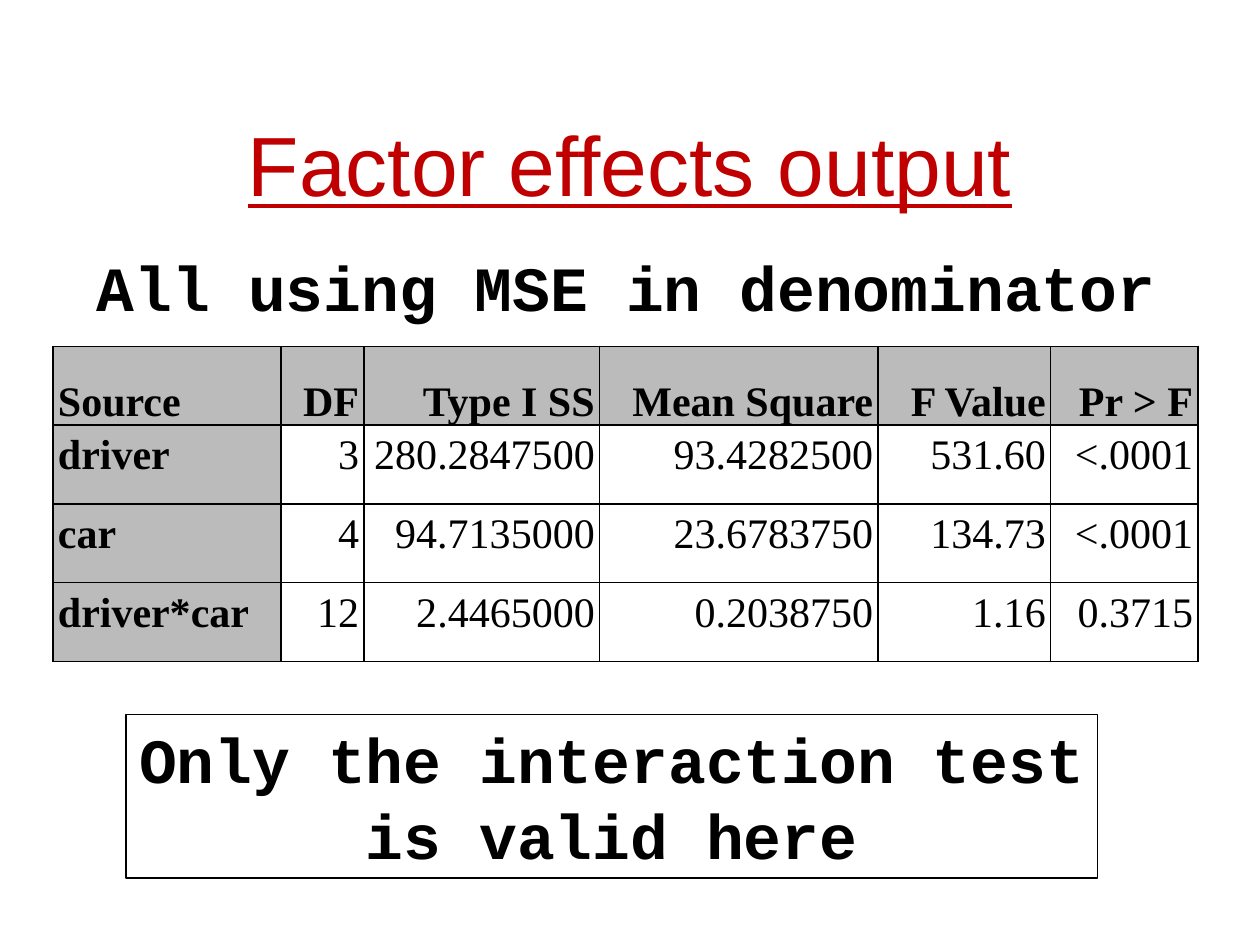
from pptx import Presentation
from pptx.dml.color import RGBColor
from pptx.enum.shapes import MSO_SHAPE
from pptx.enum.text import MSO_ANCHOR, MSO_AUTO_SIZE, PP_ALIGN
from pptx.oxml import parse_xml
from pptx.oxml.ns import nsdecls
from pptx.util import Inches, Pt

BLACK = RGBColor(0x00, 0x00, 0x00)
WHITE = RGBColor(0xFF, 0xFF, 0xFF)
RED = RGBColor(0xC0, 0x00, 0x00)
GRAY = RGBColor(0xBB, 0xBB, 0xBB)

TITLE_FONT = {"name": "Arial", "size": Pt(48), "underline": True}
NOTE_FONT = {"name": "Courier New", "size": Pt(36), "bold": True}
CELL_FONT = {"name": "Times New Roman", "size": Pt(24)}
CELL_MARGINS = {"margin_left": Inches(0.04), "margin_right": Inches(0.04),
                "margin_top": 0, "margin_bottom": 0}
CELL_SPACING = {"line_spacing": 1.15, "space_before": Pt(3), "space_after": Pt(3)}


def set_all(target, values):
    for name, value in values.items():
        setattr(target, name, value)


def write(para, text, font, color, align):
    """Fill a paragraph with one formatted span."""
    para.alignment = align
    span = para.add_run()
    span.text = text
    set_all(span.font, font)
    span.font.color.rgb = color


deck = Presentation()
deck.slide_width, deck.slide_height = Inches(10), Inches(7.5)
page = deck.slides.add_slide(deck.slide_layouts[5])

# Title
title = page.shapes.title
set_all(title, {"left": Inches(0.75), "top": Inches(0.67),
                "width": Inches(8.5), "height": Inches(1.25)})
title.text_frame.vertical_anchor = MSO_ANCHOR.MIDDLE
write(title.text_frame.paragraphs[0], "Factor effects output", TITLE_FONT, RED,
      PP_ALIGN.CENTER)

# Boxed conclusion
conclusion = page.shapes.add_shape(
    MSO_SHAPE.RECTANGLE, Inches(1), Inches(5.67), Inches(7.71), Inches(1.3))
conclusion.shadow.inherit = False
conclusion.fill.background()
conclusion.line.color.rgb = BLACK
conclusion.line.width = Pt(0.75)
frame = conclusion.text_frame
set_all(frame, {"word_wrap": False, "vertical_anchor": MSO_ANCHOR.TOP,
                "auto_size": MSO_AUTO_SIZE.SHAPE_TO_FIT_TEXT})
write(frame.paragraphs[0], "Only the interaction test", NOTE_FONT, BLACK, PP_ALIGN.CENTER)
write(frame.add_paragraph(), "is valid here", NOTE_FONT, BLACK, PP_ALIGN.CENTER)

# Remark above the table
remark = page.shapes.add_textbox(Inches(0.67), Inches(1.92), Inches(8.75), Inches(0.71))
set_all(remark.text_frame, {"word_wrap": True,
                            "auto_size": MSO_AUTO_SIZE.SHAPE_TO_FIT_TEXT})
write(remark.text_frame.paragraphs[0], "All using MSE in denominator", NOTE_FONT, BLACK,
      PP_ALIGN.LEFT)

# Analysis of variance table
rows = [
    ["Source", "DF", "Type I SS", "Mean Square", "F Value", "Pr > F"],
    ["driver", "3", "280.2847500", "93.4282500", "531.60", "<.0001"],
    ["car", "4", "94.7135000", "23.6783750", "134.73", "<.0001"],
    ["driver*car", "12", "2.4465000", "0.2038750", "1.16", "0.3715"],
]
column_widths = [1.81, 0.66, 1.87, 2.21, 1.37, 1.17]
table = page.shapes.add_table(
    len(rows), len(column_widths), Inches(0.42), Inches(2.75),
    Inches(sum(column_widths)), Inches(2.5)).table
for column, width in zip(table.columns, column_widths):
    column.width = Inches(width)

for r, row in enumerate(rows):
    for c, text in enumerate(row):
        cell = table.cell(r, c)
        is_header = r == 0 or c == 0
        set_all(cell, CELL_MARGINS)
        cell.vertical_anchor = MSO_ANCHOR.BOTTOM if r == 0 else MSO_ANCHOR.TOP
        for side in ("lnL", "lnR", "lnT", "lnB"):
            cell._tc.get_or_add_tcPr().append(parse_xml(
                f'<a:{side} {nsdecls("a")} w="{Pt(1)}"><a:solidFill>'
                f'<a:srgbClr val="{BLACK}"/></a:solidFill></a:{side}>'))
        cell.fill.solid()
        cell.fill.fore_color.rgb = GRAY if is_header else WHITE
        para = cell.text_frame.paragraphs[0]
        set_all(para, CELL_SPACING)
        write(para, text, {**CELL_FONT, "bold": is_header}, BLACK,
              PP_ALIGN.LEFT if c == 0 else PP_ALIGN.RIGHT)

deck.save("out.pptx")
